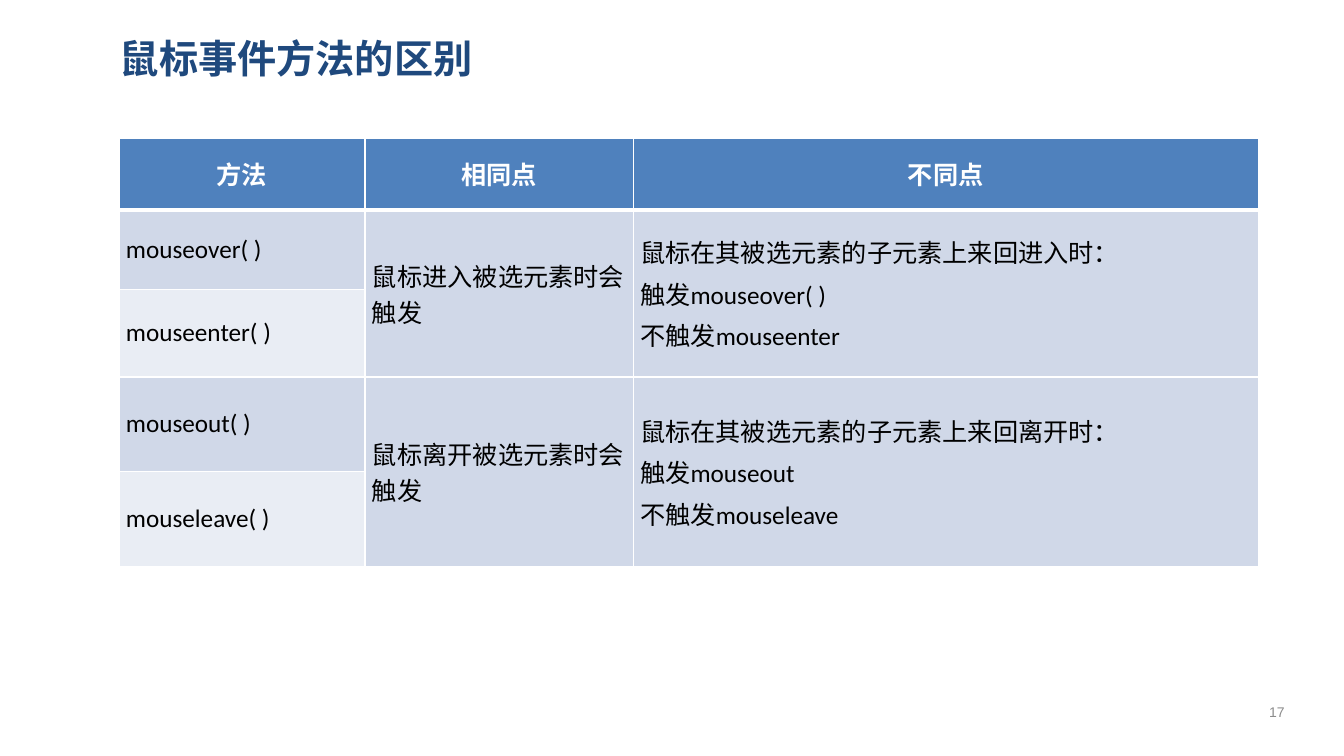
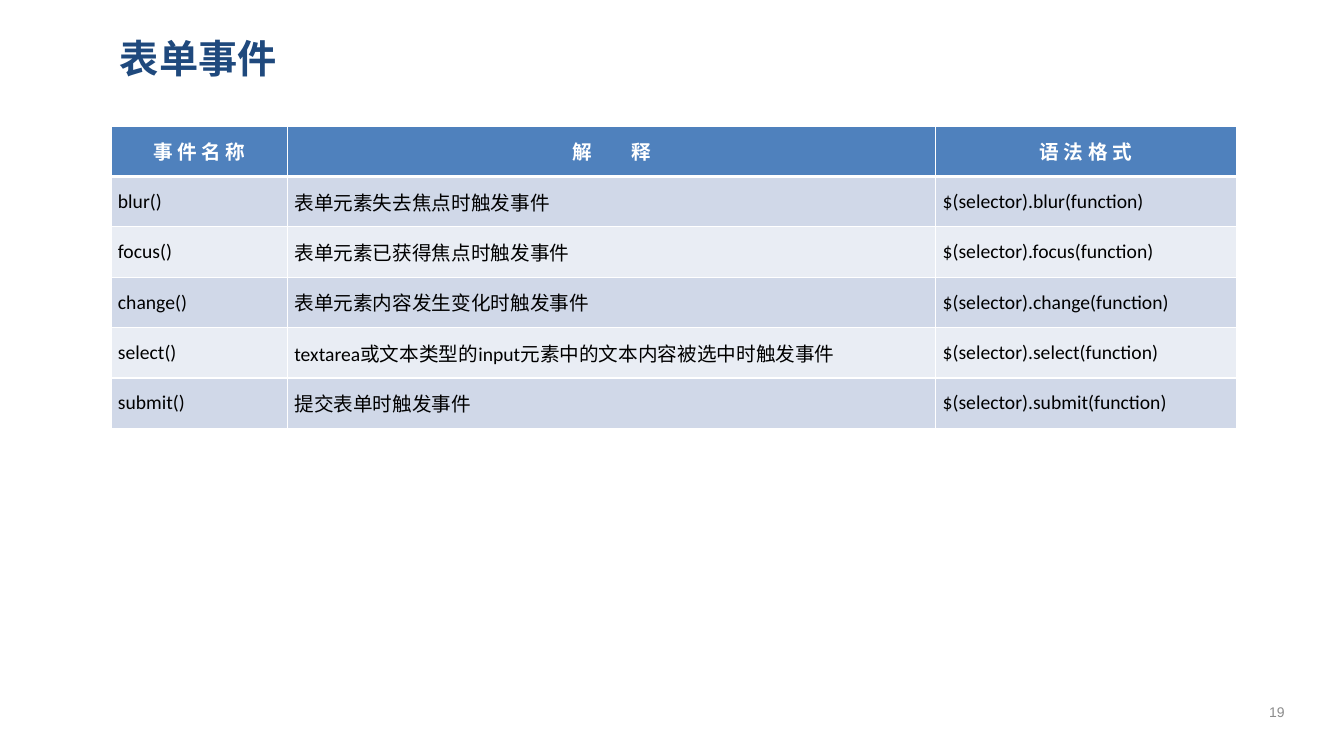
"""Build two slides with tables on mouse event methods and form events."""
from lxml.etree import SubElement
from pptx import Presentation
from pptx.dml.color import RGBColor
from pptx.enum.text import MSO_ANCHOR as Anchor, PP_ALIGN as Align
from pptx.oxml import parse_xml
from pptx.oxml.ns import nsdecls, qn
from pptx.util import Inches, Pt

COLORS = {
    "title": "1F497D",
    "header": "4F81BD",
    "band_dark": "D0D8E8",
    "band_light": "E9EDF4",
    "white": "FFFFFF",
    "text": "000000",
    "number": "8C8C8C",
}
CJK_FONT = "Noto Sans CJK SC"

MOUSE_ROWS = [
    ["方法", "相同点", "不同点"],
    ["mouseover( )", "鼠标进入被选元素时会触发",
     "鼠标在其被选元素的子元素上来回进入时：\n触发mouseover( )\n不触发mouseenter"],
    ["mouseenter( )", None, None],
    ["mouseout( )", "鼠标离开被选元素时会触发",
     "鼠标在其被选元素的子元素上来回离开时：\n触发mouseout\n不触发mouseleave"],
    ["mouseleave( )", None, None],
]
FORM_EVENTS = [
    ("blur", "表单元素失去焦点时触发事件"),
    ("focus", "表单元素已获得焦点时触发事件"),
    ("change", "表单元素内容发生变化时触发事件"),
    ("select", "textarea或文本类型的input元素中的文本内容被选中时触发事件"),
    ("submit", "提交表单时触发事件"),
]
FORM_ROWS = [["事 件 名 称", "解　　释", "语 法 格 式"]] + [
    [f"{name}()", meaning, f"$(selector).{name}(function)"]
    for name, meaning in FORM_EVENTS
]


def style_paragraph(para, size, font, color, bold=False, align=Align.LEFT):
    """Set the alignment and the font of a paragraph."""
    para.alignment = align
    para.font.size = Pt(size)
    para.font.name = font
    para.font.bold = bold
    para.font.color.rgb = RGBColor.from_string(COLORS[color])
    defaults = para._p.get_or_add_pPr().find(qn("a:defRPr"))
    SubElement(defaults, qn("a:ea")).set("typeface", CJK_FONT)


def add_text(page, text, left, top, width, height, **style):
    """Add a vertically centred text box of one paragraph."""
    box = page.shapes.add_textbox(*map(Inches, (left, top, width, height)))
    frame = box.text_frame
    frame.word_wrap = True
    frame.vertical_anchor = Anchor.MIDDLE
    frame.margin_left = frame.margin_right = Inches(0.09)
    frame.margin_top = frame.margin_bottom = Inches(0.04)
    frame.text = text
    style_paragraph(frame.paragraphs[0], **style)


def add_page(deck, title, number):
    """Add a blank slide with the shared title and page number."""
    page = deck.slides.add_slide(deck.slide_layouts[6])
    add_text(page, title, 1.1, 0.24, 11.65, 0.67,
             size=28, font=CJK_FONT, color="title", bold=True)
    add_text(page, str(number), 12.34, 6.86, 0.65, 0.4,
             size=10, font="Arial", color="number", align=Align.CENTER)
    return page


def set_borders(cell, top, bottom):
    """Draw white cell borders, with top and bottom widths in points."""
    properties = cell._tc.get_or_add_tcPr()
    widths = {"lnL": 1, "lnR": 1, "lnT": top, "lnB": bottom}
    for index, (side, width) in enumerate(widths.items()):
        properties.insert(index, parse_xml(
            f'<a:{side} {nsdecls("a")} w="{Pt(width)}"><a:solidFill>'
            f'<a:srgbClr val="{COLORS["white"]}"/></a:solidFill></a:{side}>'))


def fill_cell(cell, text, row, size, align, space_before):
    """Write and style one cell according to its row."""
    header = row == 0
    fill = "header" if header else "band_dark" if row % 2 else "band_light"
    cell.fill.solid()
    cell.fill.fore_color.rgb = RGBColor.from_string(COLORS[fill])
    set_borders(cell, 3 if row == 1 else 1, 3 if header else 1)
    cell.vertical_anchor = Anchor.MIDDLE
    cell.margin_left = cell.margin_right = Inches(0.07)
    cell.margin_top = cell.margin_bottom = 0
    cell.text_frame.text = text or ""
    for para in cell.text_frame.paragraphs:
        style_paragraph(para, size, "Calibri", "white" if header else "text",
                        header, Align.CENTER if header else align)
        para.space_before = Pt(space_before)


def add_grid(page, rows, left, top, widths, heights, size, align, space_before=0):
    """Add a table, merging each None cell into the cell above it."""
    table = page.shapes.add_table(
        len(rows), len(widths), Inches(left), Inches(top),
        Inches(sum(widths)), Inches(sum(heights))).table
    for column, width in zip(table.columns, widths):
        column.width = Inches(width)
    for line, height in zip(table.rows, heights):
        line.height = Inches(height)
    for row, texts in enumerate(rows):
        for column, text in enumerate(texts):
            cell = table.cell(row, column)
            fill_cell(cell, text, row, size, align, space_before)
            if text is None:
                table.cell(row - 1, column).merge(cell)


def main():
    """Build and save the deck."""
    deck = Presentation()
    deck.slide_width, deck.slide_height = Inches(13.33), Inches(7.5)

    page = add_page(deck, "鼠标事件方法的区别", 17)
    add_grid(page, MOUSE_ROWS, 1.18, 1.37, [2.44, 2.66, 6.2],
             [0.71, 0.79, 0.87, 0.94, 0.94], 18, Align.LEFT, space_before=3.6)

    page = add_page(deck, "表单事件", 19)
    add_grid(page, FORM_ROWS, 1.1, 1.25, [1.75, 6.43, 2.98],
             [0.5] * len(FORM_ROWS), 14, Align.JUSTIFY)

    deck.save("out.pptx")


if __name__ == "__main__":
    main()
